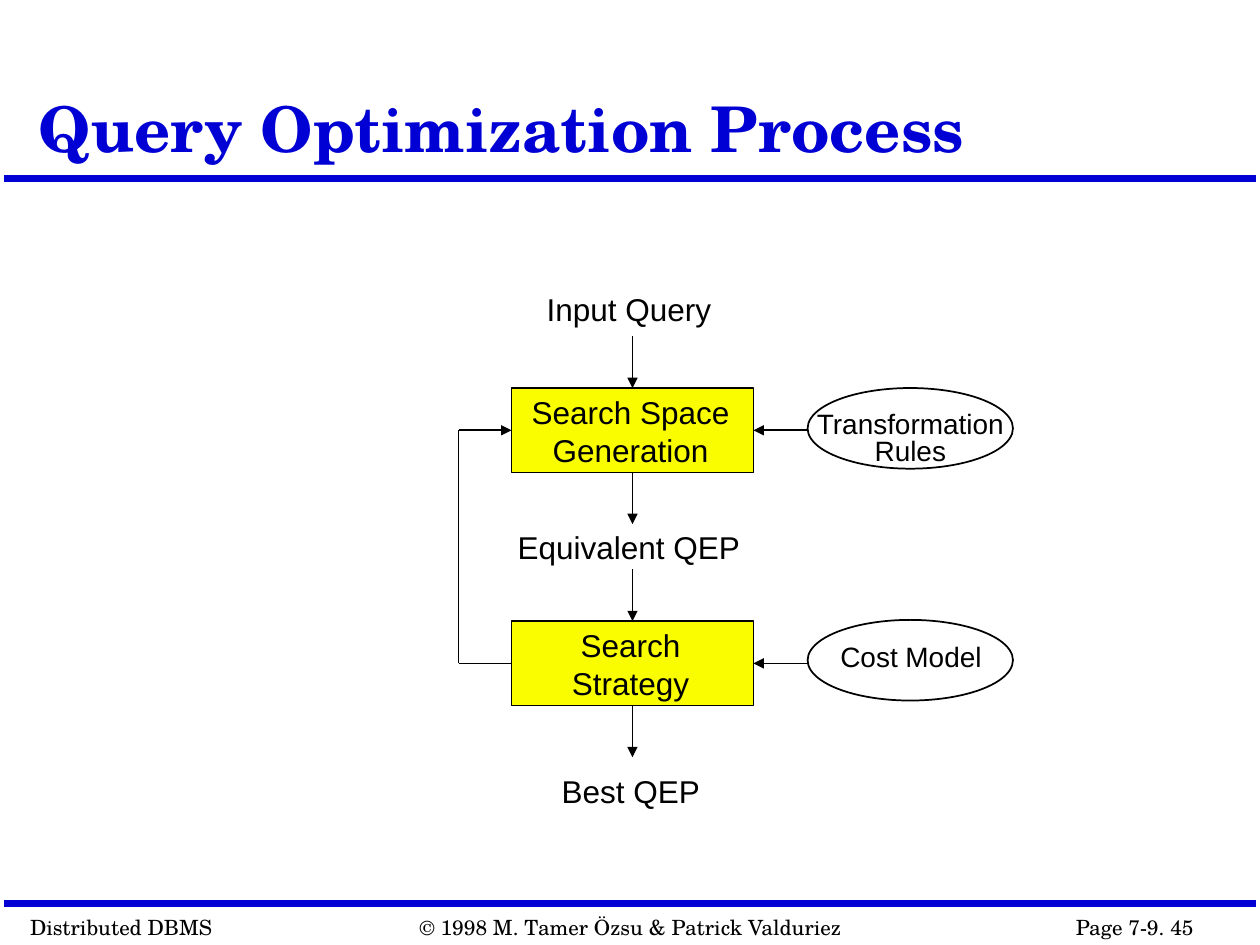
from typing import NamedTuple, Optional

from lxml.etree import SubElement
from pptx import Presentation
from pptx.dml.color import RGBColor
from pptx.enum.shapes import MSO_CONNECTOR, MSO_SHAPE
from pptx.enum.text import MSO_ANCHOR, MSO_AUTO_SIZE, PP_ALIGN
from pptx.oxml.ns import qn
from pptx.util import Inches, Pt

BLUE = RGBColor(0x00, 0x00, 0xD4)
YELLOW = RGBColor(0xFA, 0xFD, 0x00)
BLACK = RGBColor(0x00, 0x00, 0x00)
SERIF, SANS = "TeX Gyre Schola", "Arial"
COLUMNS, ROWS = 100, 75
TOP, LEFT, BOTTOM, RIGHT = range(4)

presentation = Presentation()
presentation.slide_width, presentation.slide_height = Inches(10), Inches(7.5)
slide = presentation.slides.add_slide(presentation.slide_layouts[6])


class Area(NamedTuple):
    """Position and size in grid columns and rows."""
    column: float
    row: float
    columns: float
    rows: float


class Label(NamedTuple):
    text: str
    area: Area
    size: float = 18
    font: str = SANS
    color: RGBColor = BLACK
    bold: bool = False
    align: PP_ALIGN = PP_ALIGN.LEFT
    spacing: Optional[float] = None
    wrap: bool = False
    anchor: MSO_ANCHOR = MSO_ANCHOR.TOP


class Node(NamedTuple):
    kind: MSO_SHAPE
    area: Area
    fill: Optional[RGBColor] = None


class Joint(NamedTuple):
    """A connection site on a drawn shape."""
    shape: object
    side: int


def grid_x(column: float) -> int:
    return round(presentation.slide_width * column / COLUMNS)


def grid_y(row: float) -> int:
    return round(presentation.slide_height * row / ROWS)


def place(area: Area) -> tuple:
    return (grid_x(area.column), grid_y(area.row),
            grid_x(area.columns), grid_y(area.rows))


def draw_label(label: Label) -> None:
    frame = slide.shapes.add_textbox(*place(label.area)).text_frame
    frame.text = label.text
    frame.word_wrap = label.wrap
    frame.vertical_anchor = label.anchor
    frame.auto_size = (MSO_AUTO_SIZE.NONE if label.wrap
                       else MSO_AUTO_SIZE.SHAPE_TO_FIT_TEXT)
    for paragraph in frame.paragraphs:
        paragraph.alignment = label.align
        paragraph.line_spacing = label.spacing
        for run in paragraph.runs:
            run.font.name = label.font
            run.font.size = Pt(label.size)
            run.font.bold = label.bold
            run.font.color.rgb = label.color


def draw_node(node: Node):
    shape = slide.shapes.add_shape(node.kind, *place(node.area))
    shape.shadow.inherit = False
    if node.fill is None:
        shape.fill.background()
    else:
        shape.fill.solid()
        shape.fill.fore_color.rgb = node.fill
    shape.line.color.rgb = BLACK
    shape.line.width = Pt(1)
    return shape


def draw_line(start: tuple, end: tuple, arrow: bool = False,
              color: RGBColor = BLACK, width: float = 1,
              begin_joint: Optional[Joint] = None,
              end_joint: Optional[Joint] = None) -> None:
    connector = slide.shapes.add_connector(
        MSO_CONNECTOR.STRAIGHT, grid_x(start[0]), grid_y(start[1]),
        grid_x(end[0]), grid_y(end[1]))
    if begin_joint:
        connector.begin_connect(*begin_joint)
    if end_joint:
        connector.end_connect(*end_joint)
    connector.line.color.rgb = color
    connector.line.width = Pt(width)
    if arrow:
        SubElement(connector.line._get_or_add_ln(), qn("a:tailEnd"), type="triangle")
    SubElement(connector._element.spPr, qn("a:effectLst"))


# Title and footer with their rules
for rule_row in (14.2, 71.7):
    draw_line((0.3, rule_row), (99.7, rule_row), color=BLUE, width=4)
FOOTERS = [
    ("Distributed DBMS", 1.4, 16.5),
    ("Page 7-9. 45", 84.4, 17.6),
    ("© 1998 M. Tamer Özsu & Patrick Valduriez", 32.3, 35.7),
]
for text, column, columns in FOOTERS:
    draw_label(Label(text, Area(column, 72.1, columns, 3), 12, SERIF))
draw_label(Label("Query Optimization Process", Area(2.1, 1.2, 78.3, 12.5), 36,
                 SERIF, BLUE, bold=True, spacing=0.9, wrap=True,
                 anchor=MSO_ANCHOR.BOTTOM))

# Process steps and the knowledge they use
BOX_LEFT, BOX_WIDTH, BOX_HEIGHT = 40.6, 19.2, 6.7
GENERATION_ROW, STRATEGY_ROW = 30.8, 49.3
generation, strategy = [
    draw_node(Node(MSO_SHAPE.RECTANGLE,
                   Area(BOX_LEFT, row, BOX_WIDTH, BOX_HEIGHT), YELLOW))
    for row in (GENERATION_ROW, STRATEGY_ROW)]
for row in (GENERATION_ROW, STRATEGY_ROW - 0.1):
    draw_node(Node(MSO_SHAPE.OVAL, Area(64.1, row, 16.3, 6.4)))

CENTER = PP_ALIGN.CENTER
LABELS = [
    Label("Input Query", Area(42.4, 22.5, 16, 4)),
    Label("Search Space\nGeneration", Area(41.2, 30.7, 17.7, 7), align=CENTER),
    Label("Equivalent QEP", Area(40.1, 41.4, 20.6, 4)),
    Label("Search\nStrategy", Area(44.4, 49.2, 11.3, 7), align=CENTER),
    Label("Best QEP", Area(43.6, 60.8, 14, 4)),
    Label("Transformation\nRules", Area(63.8, 32.3, 16.9, 5.3), 16,
          align=CENTER, spacing=0.8),
    Label("Cost Model", Area(65.7, 50.8, 13.2, 3.2), 16,
          align=CENTER, spacing=0.8),
]
for label in LABELS:
    draw_label(label)

# Arrows into and out of each step
AXIS = BOX_LEFT + BOX_WIDTH / 2
ARROW = 4.1
for step, row in ((generation, GENERATION_ROW), (strategy, STRATEGY_ROW)):
    middle, bottom = row + BOX_HEIGHT / 2, row + BOX_HEIGHT
    draw_line((AXIS, row - ARROW), (AXIS, row), True,
              end_joint=Joint(step, TOP))
    draw_line((AXIS, bottom), (AXIS, bottom + ARROW), True,
              begin_joint=Joint(step, BOTTOM))
    draw_line((64.1, middle), (BOX_LEFT + BOX_WIDTH, middle), True,
              end_joint=Joint(step, RIGHT))

# Feedback loop from strategy to generation
LOOP = 36.4
loop_top, loop_bottom = (row + BOX_HEIGHT / 2 for row in (GENERATION_ROW, STRATEGY_ROW))
draw_line((BOX_LEFT, loop_bottom), (LOOP, loop_bottom),
          begin_joint=Joint(strategy, LEFT))
draw_line((LOOP, loop_bottom), (LOOP, loop_top))
draw_line((LOOP, loop_top), (BOX_LEFT, loop_top), True,
          end_joint=Joint(generation, LEFT))

presentation.save("out.pptx")
